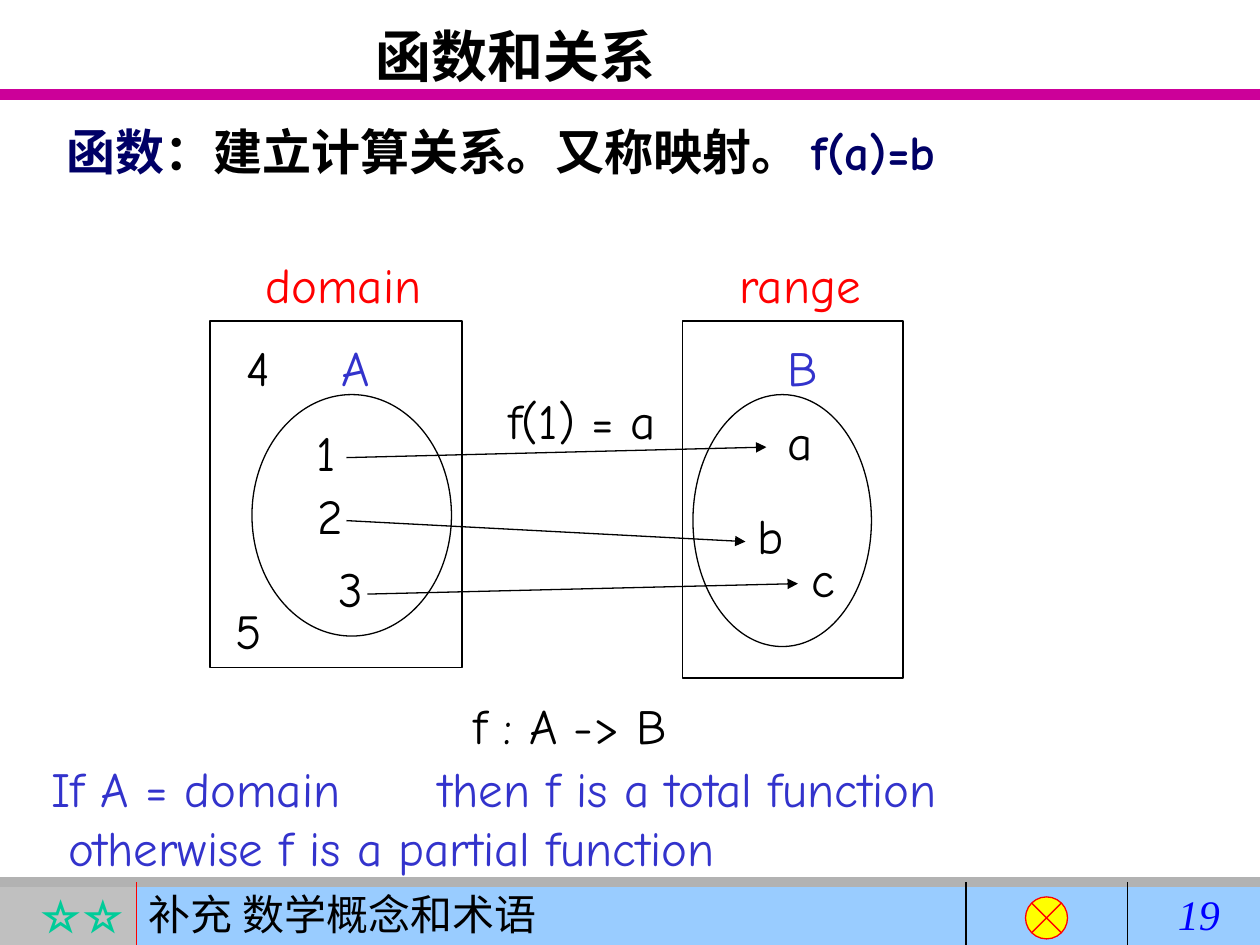
from typing import NamedTuple

from lxml.etree import SubElement
from pptx import Presentation
from pptx.dml.color import RGBColor
from pptx.enum.shapes import MSO_CONNECTOR as CONN, MSO_SHAPE as SHAPE
from pptx.enum.text import MSO_ANCHOR as ANCHOR, PP_ALIGN as ALIGN
from pptx.oxml.ns import qn
from pptx.util import Pt

BLACK = RGBColor(0x00, 0x00, 0x00)
RED = RGBColor(0xFF, 0x00, 0x00)
MAGENTA = RGBColor(0xCC, 0x00, 0x99)
SILVER = RGBColor(0xC0, 0xC0, 0xC0)
GRAY = RGBColor(0xB2, 0xB2, 0xB2)
SKY = RGBColor(0x99, 0xCC, 0xFF)
GREEN = RGBColor(0x00, 0xCC, 0x99)
YELLOW = RGBColor(0xFF, 0xFF, 0x00)
BLUE = RGBColor(0x00, 0x00, 0xFF)
NAVY = RGBColor(0x00, 0x00, 0x66)
INDIGO = RGBColor(0x33, 0x33, 0xCC)

COMIC, CJK, TIMES = "Comic Neue", "Noto Sans CJK SC", "Times New Roman"
WIDTH, HEIGHT = 720, 540
FOOT_Y, FOOT_H, FOOT_SPLIT = 504, 36, 78
LABEL_H = 41


class Box(NamedTuple):
    x: float
    y: float
    w: float
    h: float


class Run(NamedTuple):
    text: str
    color: RGBColor = BLACK
    font: str = COMIC
    size: float = 28
    bold: bool = False
    italic: bool = False


class Label(NamedTuple):
    text: str
    x: float
    y: float
    w: float
    color: RGBColor = BLACK


class Line(NamedTuple):
    x1: float
    y1: float
    x2: float
    y2: float
    color: RGBColor = BLACK
    width: float = 0.75
    arrow: bool = False


class Outline(NamedTuple):
    kind: SHAPE
    box: Box
    fill: RGBColor | None = None
    line: RGBColor | None = BLACK


def add_runs(p, runs: list[Run]) -> None:
    for run in runs:
        r = p.add_run()
        r.text = run.text
        f = r.font
        f.name, f.size = run.font, Pt(run.size)
        f.bold, f.italic = run.bold, run.italic
        f.color.rgb = run.color
        SubElement(r._r.get_or_add_rPr(), qn("a:ea")).set("typeface", CJK)


def fill_text(sp, runs: list[Run], align=ALIGN.LEFT):
    tf = sp.text_frame
    tf.word_wrap = True
    tf.vertical_anchor = ANCHOR.MIDDLE
    p = tf.paragraphs[0]
    p.alignment = align
    add_runs(p, runs)
    return tf


def add_text(s, box: Box, runs: list[Run], align=ALIGN.LEFT):
    sp = s.shapes.add_textbox(*map(Pt, box))
    return fill_text(sp, runs, align)


def add_outline(s, o: Outline):
    sp = s.shapes.add_shape(o.kind, *map(Pt, o.box))
    sp.shadow.inherit = False
    if o.fill is None:
        sp.fill.background()
    else:
        sp.fill.solid()
        sp.fill.fore_color.rgb = o.fill
    if o.line is None:
        sp.line.fill.background()
    else:
        sp.line.color.rgb = o.line
        sp.line.width = Pt(0.75)
    return sp


def add_line(s, line: Line) -> None:
    c = s.shapes.add_connector(CONN.STRAIGHT, *map(Pt, line[:4]))
    c.line.color.rgb = line.color
    c.line.width = Pt(line.width)
    if line.arrow:
        SubElement(c.line._get_or_add_ln(), qn("a:tailEnd")).set("type", "triangle")
    SubElement(c._element.spPr, qn("a:effectLst"))


def add_frame(s) -> None:
    add_line(s, Line(0, 54, WIDTH, 54, MAGENTA, 6))
    stars = Box(0, FOOT_Y, FOOT_SPLIT, FOOT_H)
    chapter = Box(FOOT_SPLIT, FOOT_Y, WIDTH - FOOT_SPLIT, FOOT_H)
    sp = add_outline(s, Outline(SHAPE.RECTANGLE, stars, SILVER, None))
    fill_text(sp, [Run("☆☆", GREEN, TIMES, 24, bold=True)], ALIGN.RIGHT)
    sp = add_outline(s, Outline(SHAPE.RECTANGLE, chapter, SKY, None))
    fill_text(sp, [Run("补充 数学概念和术语", BLACK, CJK, 24)])
    add_line(s, Line(0, FOOT_Y, WIDTH, FOOT_Y, GRAY, 6))
    for x, color in ((FOOT_SPLIT, RED), (552, BLACK), (644.5, BLACK)):
        add_line(s, Line(x, FOOT_Y, x, HEIGHT, color))
    add_outline(s, Outline(SHAPE.FLOWCHART_SUMMING_JUNCTION,
                           Box(586, 512.5, 24, 24), YELLOW, RED))
    add_text(s, Box(666, FOOT_Y, 54, FOOT_H), [Run("19", BLUE, TIMES, 24, italic=True)])


SETS = [
    Outline(SHAPE.OVAL, Box(144, 225.5, 114, 138)),
    Outline(SHAPE.OVAL, Box(396, 225.5, 102, 144)),
    Outline(SHAPE.RECTANGLE, Box(120, 183.5, 144, 198)),
    Outline(SHAPE.RECTANGLE, Box(390, 183.5, 126, 204)),
]
MAPPINGS = [
    Line(198, 261.5, 438, 255.5, arrow=True),
    Line(198, 297.5, 426, 309.5, arrow=True),
    Line(210, 339.5, 456, 333.5, arrow=True),
]
LABELS = [
    Label("domain", 144.7, 142, 110, RED),
    Label("range", 415.4, 142, 90, RED),
    Label("A", 188, 189.4, 34, INDIGO),
    Label("B", 442.8, 189.4, 34, INDIGO),
    Label("1", 173.5, 237.5, 32),
    Label("2", 174.2, 273.5, 32),
    Label("3", 186.5, 315.5, 32),
    Label("4", 134, 189.4, 32),
    Label("5", 127.4, 339.5, 32),
    Label("a", 442.8, 231.5, 32),
    Label("b", 425.5, 285, 32),
    Label("c", 456.5, 309.5, 32),
    Label("f(1) = a", 283.3, 219.5, 106),
    Label("f : A -> B", 263.7, 394, 140),
]


def add_conclusion(s) -> None:
    tf = add_text(s, Box(22.5, 429.5, 540, 75),
                  [Run("If A = domain\tthen f is a total function", INDIGO)])
    pPr = tf.paragraphs[0]._p.get_or_add_pPr()
    tab = SubElement(SubElement(pPr, qn("a:tabLst")), qn("a:tab"))
    tab.set("pos", str(Pt(221)))
    tab.set("algn", "l")
    p = tf.add_paragraph()
    p._p.get_or_add_pPr().set("marL", str(Pt(9.5)))
    add_runs(p, [Run("otherwise f is a partial function", INDIGO)])


def main() -> None:
    prs = Presentation()
    prs.slide_width, prs.slide_height = Pt(WIDTH), Pt(HEIGHT)
    s = prs.slides.add_slide(prs.slide_layouts[6])
    add_frame(s)
    add_text(s, Box(48, 8.5, 493, 46),
             [Run("函数和关系", BLACK, TIMES, 32, bold=True)], ALIGN.CENTER)
    add_text(s, Box(31, 65.5, 607, LABEL_H), [
        Run("函数", NAVY, TIMES, bold=True),
        Run("：建立计算关系。又称映射。 ", BLACK, TIMES, bold=True),
        Run("f(a)=b", NAVY, bold=True),
    ])
    for outline in SETS:
        add_outline(s, outline)
    for mapping in MAPPINGS:
        add_line(s, mapping)
    for label in LABELS:
        add_text(s, Box(label.x, label.y, label.w, LABEL_H),
                 [Run(label.text, label.color)])
    add_conclusion(s)
    prs.save("out.pptx")


if __name__ == "__main__":
    main()
